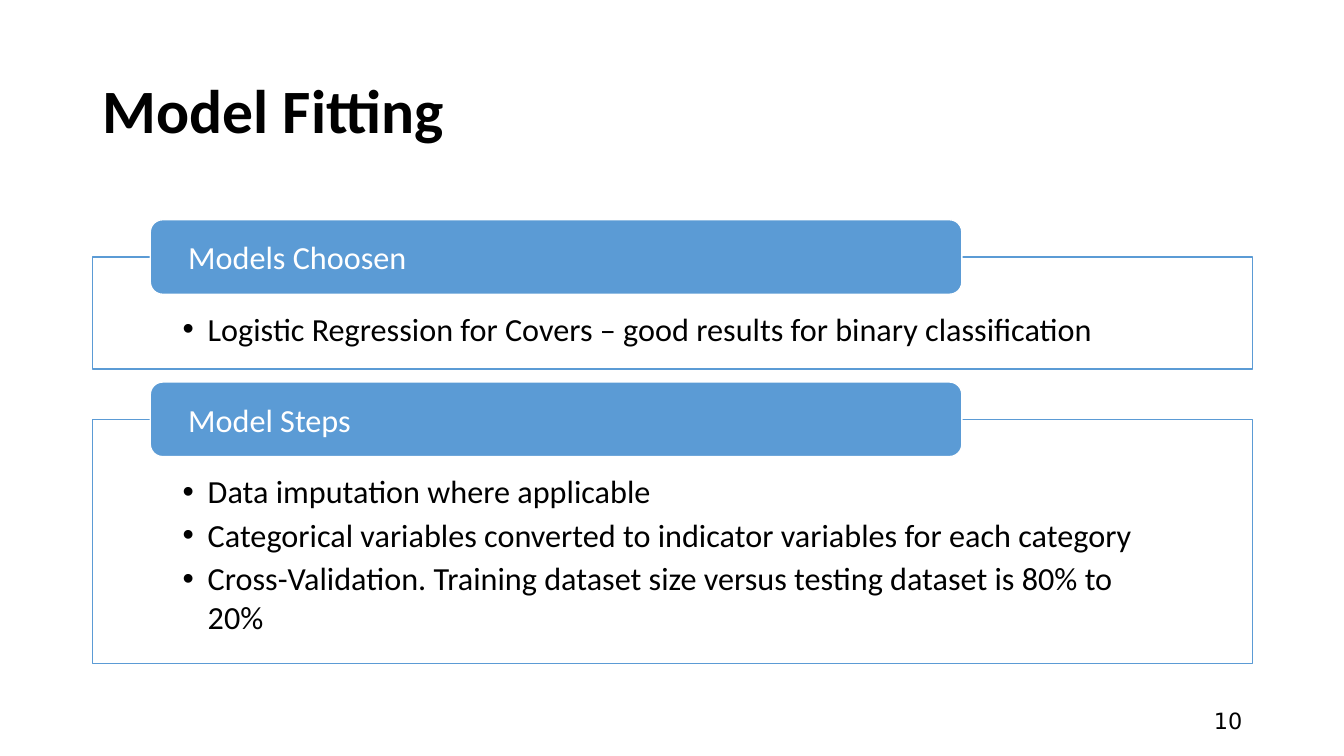
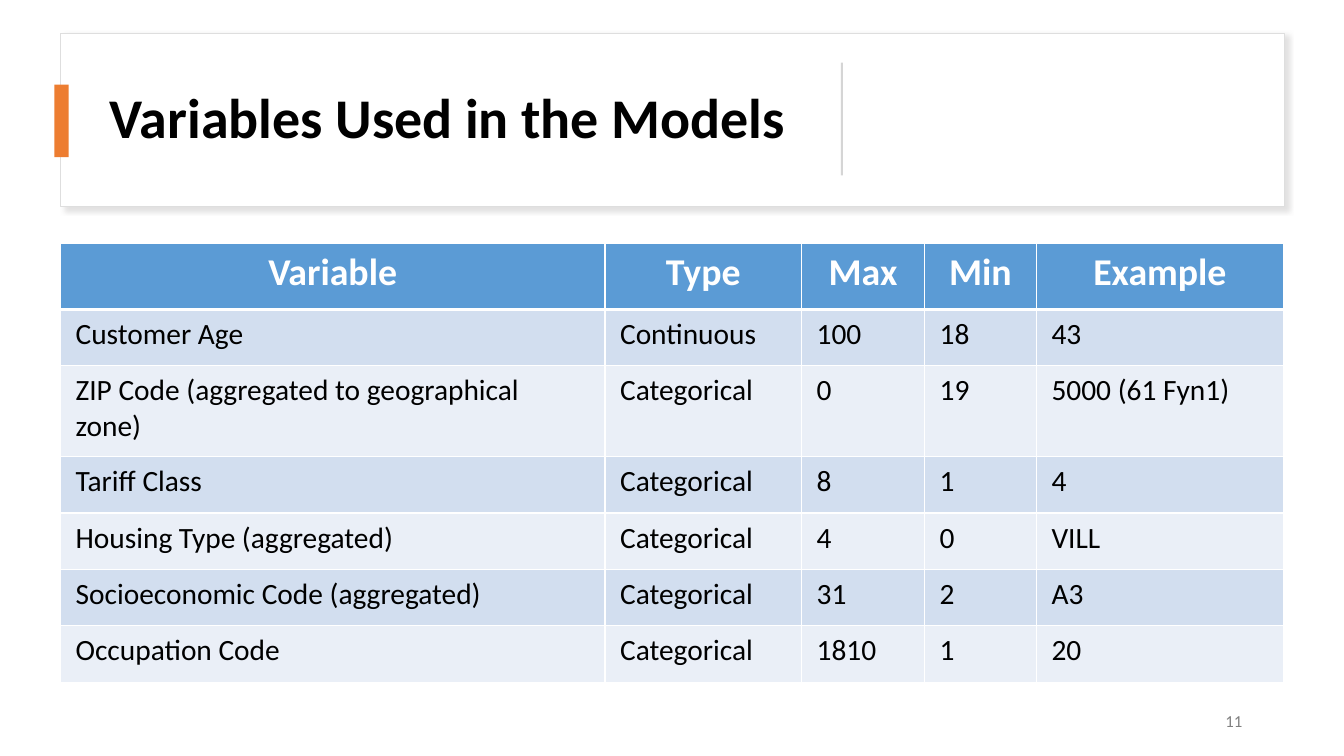
from dataclasses import dataclass

from lxml import etree
from pptx import Presentation
from pptx.dml.color import RGBColor
from pptx.enum.shapes import MSO_SHAPE
from pptx.enum.text import MSO_ANCHOR, MSO_AUTO_SIZE, PP_ALIGN
from pptx.oxml.ns import qn
from pptx.util import Inches, Pt

RECTANGLE, ROUNDED = MSO_SHAPE.RECTANGLE, MSO_SHAPE.ROUNDED_RECTANGLE
LEFT, CENTER, RIGHT = PP_ALIGN.LEFT, PP_ALIGN.CENTER, PP_ALIGN.RIGHT
TOP, MIDDLE = MSO_ANCHOR.TOP, MSO_ANCHOR.MIDDLE
NO_AUTOFIT = MSO_AUTO_SIZE.NONE

FONT = "Calibri"
COLORS = {
    "white": "FFFFFF",
    "black": "000000",
    "blue": "5B9BD5",
    "orange": "ED7D31",
    "card_line": "DEDEDE",
    "divider": "D5D5D5",
    "shadow": "C5C3C3",
    "page_gray": "808080",
    "band_dark": "D2DEEF",
    "band_light": "EAEFF7",
}
TITLE_ONLY, TWO_CONTENT = 5, 3


@dataclass(frozen=True)
class Box:
    left: float
    top: float
    width: float
    height: float

    def lengths(self):
        return [Inches(n) for n in (self.left, self.top, self.width, self.height)]


@dataclass(frozen=True)
class TextStyle:
    size: float
    color: str = "black"
    bold: bool = False
    font: str = FONT
    align: PP_ALIGN = LEFT


@dataclass(frozen=True)
class Section:
    heading: str
    bullets: tuple[str, ...]
    top: float
    height: float


SECTIONS = (
    Section(
        "Models Choosen",
        ("Logistic Regression for Covers – good results for binary classification",),
        2.55, 1.11,
    ),
    Section(
        "Model Steps",
        (
            "Data imputation where applicable",
            "Categorical variables converted to indicator variables for each category",
            "Cross-Validation. Training dataset size versus testing dataset is 80% to 20%",
        ),
        4.16, 2.42,
    ),
)
LIST_STYLE = TextStyle(23)
HEADING_STYLE = TextStyle(23, "white")
HEADING_HEIGHT = 0.74

COLUMN_WIDTHS = (5.4, 1.95, 1.22, 1.11, 2.45)
ROW_HEIGHTS = (0.66, 0.56, 0.9, 0.56, 0.56, 0.56, 0.56)
VARIABLES = (
    ("Variable", "Type", "Max", "Min", "Example"),
    ("Customer Age", "Continuous", "100", "18", "43"),
    ("ZIP Code (aggregated to geographical zone)", "Categorical", "0", "19", "5000 (61 Fyn1)"),
    ("Tariff Class", "Categorical", "8", "1", "4"),
    ("Housing Type (aggregated)", "Categorical", "4", "0", "VILL"),
    ("Socioeconomic Code (aggregated)", "Categorical", "31", "2", "Α3"),
    ("Occupation Code", "Categorical", "1810", "1", "20"),
)
HEADER_STYLE = TextStyle(27, "white", bold=True, align=CENTER)
CELL_STYLE = TextStyle(21)


def rgb(name: str) -> RGBColor:
    return RGBColor.from_string(COLORS[name])


def move(shape, box: Box) -> None:
    shape.left, shape.top, shape.width, shape.height = box.lengths()


def add_run(paragraph, text: str, style: TextStyle) -> None:
    paragraph.alignment = style.align
    run = paragraph.add_run()
    run.text = text
    run.font.name = style.font
    run.font.size = Pt(style.size)
    run.font.bold = style.bold
    run.font.color.rgb = rgb(style.color)


def set_frame(frame, anchor: MSO_ANCHOR, insets=(0.1, 0.05, 0.1, 0.05)) -> None:
    """Set wrapping, anchor and the left, top, right and bottom insets."""
    frame.word_wrap = True
    frame.auto_size = NO_AUTOFIT
    frame.vertical_anchor = anchor
    (frame.margin_left, frame.margin_top,
     frame.margin_right, frame.margin_bottom) = [Inches(n) for n in insets]


def paint(shape, fill: str, line: str | None = None) -> None:
    shape.fill.solid()
    shape.fill.fore_color.rgb = rgb(fill)
    if line:
        shape.line.color.rgb = rgb(line)
        shape.line.width = Pt(1)
    else:
        shape.line.fill.background()


def add_block(slide, kind: MSO_SHAPE, box: Box, fill: str, line: str | None = None):
    shape = slide.shapes.add_shape(kind, *box.lengths())
    shape.shadow.inherit = False
    paint(shape, fill, line)
    return shape


def add_soft_shadow(shape) -> None:
    effects = shape._element.spPr.find(qn("a:effectLst"))
    shadow = etree.SubElement(
        effects, qn("a:outerShdw"), blurRad=str(Pt(4)), dist=str(Pt(3)),
        dir=str(45 * 60000), algn="tl", rotWithShape="0",
    )
    color = etree.SubElement(shadow, qn("a:srgbClr"), val=COLORS["shadow"])
    etree.SubElement(color, qn("a:alpha"), val="50000")


def add_titled_slide(presentation, layout: int, title: str, box: Box, size: float,
                     page: str, page_style: TextStyle):
    slide = presentation.slides.add_slide(presentation.slide_layouts[layout])
    move(slide.shapes.title, box)
    frame = slide.shapes.title.text_frame
    set_frame(frame, MIDDLE)
    frame.paragraphs[0].line_spacing = 0.9
    add_run(frame.paragraphs[0], title, TextStyle(size, bold=True))

    number = slide.shapes.add_textbox(*Box(9.42, 6.95, 3, 0.4).lengths())
    set_frame(number.text_frame, MIDDLE)
    add_run(number.text_frame.paragraphs[0], page, page_style)
    return slide


def add_section(slide, placeholder, section: Section) -> None:
    move(placeholder, Box(0.92, section.top, 11.5, section.height))
    paint(placeholder, "white", "blue")
    frame = placeholder.text_frame
    set_frame(frame, TOP, (0.89, 0.52, 0.89, 0.18))
    for index, text in enumerate(section.bullets):
        paragraph = frame.add_paragraph() if index else frame.paragraphs[0]
        paragraph.space_before = Pt(0)
        paragraph.space_after = Pt(3.5)
        properties = paragraph._p.get_or_add_pPr()
        properties.set("marL", str(Inches(0.25)))
        properties.set("indent", str(-Inches(0.25)))
        add_run(paragraph, text, LIST_STYLE)

    heading_top = section.top - HEADING_HEIGHT / 2
    heading = add_block(slide, ROUNDED, Box(1.49, heading_top, 8.05, HEADING_HEIGHT),
                        "blue", "white")
    set_frame(heading.text_frame, MIDDLE, (0.34, 0, 0.34, 0))
    add_run(heading.text_frame.paragraphs[0], section.heading, HEADING_STYLE)


def set_borders(cell, top: float, bottom: float) -> None:
    """Draw white borders; top and bottom are widths in points."""
    properties = cell._tc.get_or_add_tcPr()
    for side, width in (("L", 1), ("R", 1), ("T", top), ("B", bottom)):
        line = etree.SubElement(properties, qn(f"a:ln{side}"), w=str(Pt(width)))
        fill = etree.SubElement(line, qn("a:solidFill"))
        etree.SubElement(fill, qn("a:srgbClr"), val=COLORS["white"])


def add_variable_table(slide) -> None:
    box = Box(0.6, 2.41, sum(COLUMN_WIDTHS), sum(ROW_HEIGHTS))
    table = slide.shapes.add_table(
        len(ROW_HEIGHTS), len(COLUMN_WIDTHS), *box.lengths()).table
    for column, width in zip(table.columns, COLUMN_WIDTHS):
        column.width = Inches(width)
    for row_index, (row, height, texts) in enumerate(
            zip(table.rows, ROW_HEIGHTS, VARIABLES)):
        row.height = Inches(height)
        if row_index == 0:
            fill, style = "blue", HEADER_STYLE
        else:
            fill, style = ("band_dark" if row_index % 2 else "band_light"), CELL_STYLE
        for cell, text in zip(row.cells, texts):
            set_borders(cell, 3 if row_index == 1 else 1, 3 if row_index == 0 else 1)
            cell.fill.solid()
            cell.fill.fore_color.rgb = rgb(fill)
            cell.margin_left = cell.margin_right = Inches(0.15)
            cell.margin_top = cell.margin_bottom = Inches(0.07)
            add_run(cell.text_frame.paragraphs[0], text, style)


def build_model_fitting(presentation) -> None:
    slide = add_titled_slide(
        presentation, TWO_CONTENT, "Model Fitting", Box(0.92, 0.4, 11.5, 1.45), 44,
        "10", TextStyle(16, font="DejaVu Sans", align=RIGHT))
    for index, section in enumerate(SECTIONS, start=1):
        add_section(slide, slide.placeholders[index], section)


def build_variables(presentation) -> None:
    slide = add_titled_slide(
        presentation, TITLE_ONLY, "Variables Used in the Models",
        Box(0.99, 0.44, 7.03, 1.5), 40,
        "11", TextStyle(12, "page_gray", align=RIGHT))
    card = add_block(slide, RECTANGLE, Box(0.6, 0.33, 12.14, 1.72), "white", "card_line")
    add_soft_shadow(card)
    slide.shapes.title._element.addprevious(card._element)
    add_block(slide, RECTANGLE, Box(0.54, 0.84, 0.14, 0.72), "orange")
    add_block(slide, RECTANGLE, Box(8.34, 0.62, 0.02, 1.12), "divider")
    add_variable_table(slide)


def main() -> None:
    presentation = Presentation()
    presentation.slide_width = Inches(13.33)
    presentation.slide_height = Inches(7.5)
    build_model_fitting(presentation)
    build_variables(presentation)
    presentation.save("out.pptx")


if __name__ == "__main__":
    main()
